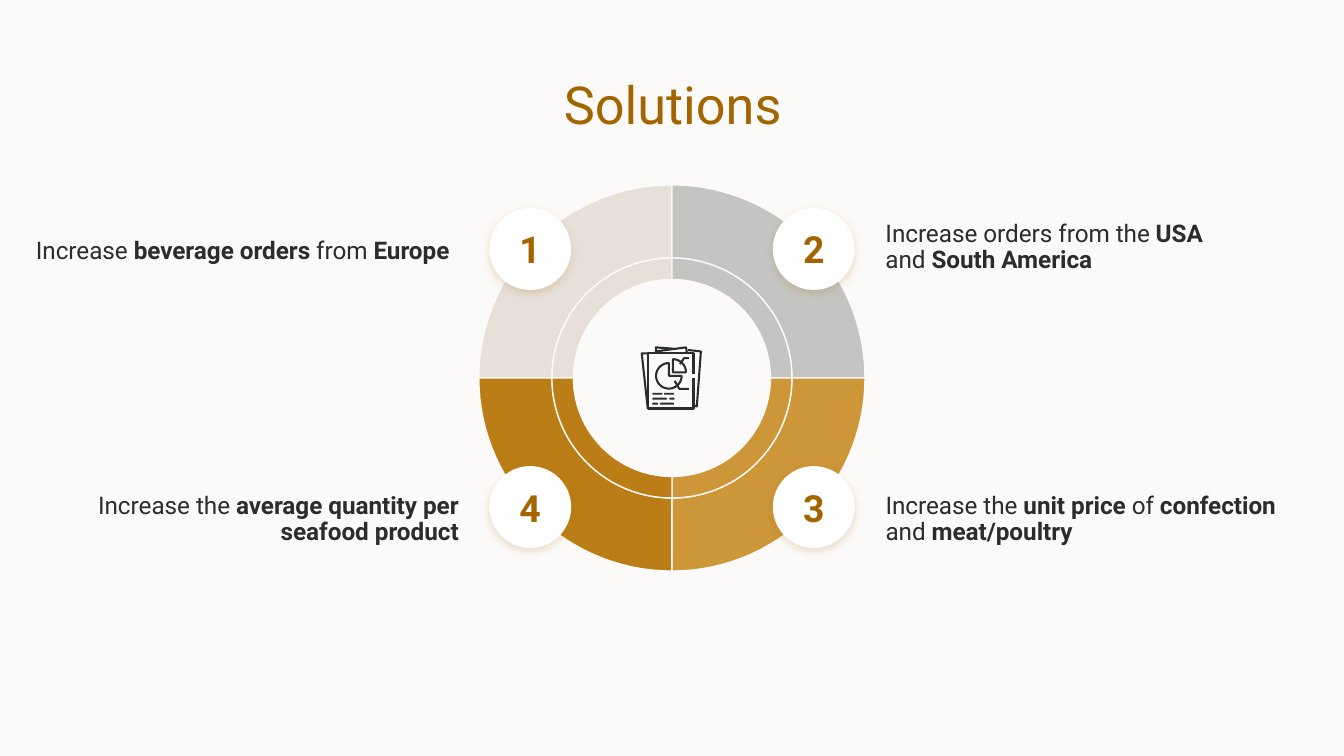
from math import cos, radians, sin

from lxml.etree import SubElement
from pptx import Presentation
from pptx.dml.color import RGBColor
from pptx.enum.shapes import MSO_SHAPE
from pptx.enum.text import MSO_ANCHOR, PP_ALIGN
from pptx.oxml.ns import qn
from pptx.util import Inches, Pt

COLORS = {name: RGBColor.from_string(value) for name, value in {
    "background": "FCFAF8", "accent": "A36500", "ink": "2C2C2C", "white": "FFFFFF",
    "beige": "E7E0D9", "gray": "C4C5C2", "gold": "CC9639", "ochre": "BB7D16",
}.items()}

presentation = Presentation()
presentation.slide_width = Inches(10)
presentation.slide_height = presentation.slide_width * 9 // 16
slide = presentation.slides.add_slide(presentation.slide_layouts[6])
slide.background.fill.solid()
slide.background.fill.fore_color.rgb = COLORS["background"]

# Grid of square cells, 100 columns across the slide; the wheel sits in its middle.
CELL = presentation.slide_width / 100
CENTER_X, CENTER_Y = 50, 28.13


def cells(*counts):
    return [round(count * CELL) for count in counts]


def arc(x, y, radius, start, end):
    """Points on a circle, clockwise in degrees from three o'clock."""
    step = 3 if end > start else -3
    return [(x + radius * cos(radians(angle)), y + radius * sin(radians(angle)))
            for angle in range(start, end + step, step)]


# Wheel: two rings of four quadrants, clockwise from the top left
QUADRANTS = ["beige", "gray", "gold", "ochre"]
outlines = []
for outer, inner in [(14.37, 8.93), (8.93, 7.33)]:
    for index, color in enumerate(QUADRANTS):
        start = 180 + 90 * index
        points = (arc(CENTER_X, CENTER_Y, outer, start, start + 90)
                  + arc(CENTER_X, CENTER_Y, inner, start + 90, start))
        outlines.append(([points], color, "background", 0.75))

# Report icon: sheets of paper, pie slice, pie with its callout
sheets = [
    [(51.6, 27.85), (51.6, 26.3), (48.25, 26.3), (48.25, 30.4), (51.6, 30.4), (51.6, 28.15)],
    [(48.25, 26.3), (47.75, 26.3), (48.2, 30.4)],
    [(51.2, 26.05), (52.15, 26.15), (51.85, 30.25), (51.7, 30.2)],
    [(50.1, 25.95), (48.8, 25.85), (48.8, 26.15), (51.05, 25.85), (51.1, 26.2)],
]
pie_slice = [
    [(50.07, 27.7), *arc(50.07, 27.7, 0.97, 270, 360), (50.07, 27.7)],
    [(50.6, 27.1), (50.9, 26.65), (51.25, 26.65)],
]
pie = [
    [(49.77, 27.97), *arc(49.77, 27.97, 0.95, 0, 270), (49.77, 27.97)],
    [(50.2, 28.35), (50.55, 28.95), (51.25, 28.95)],
]
outlines += [(contours, None, "ink", 1.1) for contours in (sheets, pie_slice, pie)]

for contours, fill, line, weight in outlines:
    builder = slide.shapes.build_freeform(*cells(*contours[0][0]))
    for number, contour in enumerate(contours):
        if number:
            builder.move_to(*cells(*contour[0]))
        builder.add_line_segments([cells(*point) for point in contour[1:]], close=bool(fill))
    shape = builder.convert_to_shape()
    shape.shadow.inherit = False
    if fill:
        shape.fill.solid()
        shape.fill.fore_color.rgb = COLORS[fill]
    else:
        shape.fill.background()
    shape.line.color.rgb = COLORS[line]
    shape.line.width = Pt(weight)

# Lines of writing on the report: left and width, row by row
WRITING = [[(48.53, 0.75), (49.4, 0.75)], [(48.53, 1.1), (49.8, 0.4)],
           [(48.53, 0.45), (49.1, 1.05)]]
for row, dashes in enumerate(WRITING):
    for left, width in dashes:
        dash = slide.shapes.add_shape(MSO_SHAPE.ROUNDED_RECTANGLE,
                                      *cells(left, 29.23 + 0.37 * row, width, 0.14))
        dash.adjustments[0] = 0.5
        dash.shadow.inherit = False
        dash.fill.solid()
        dash.fill.fore_color.rgb = COLORS["ink"]
        dash.line.fill.background()


def write(shape, pieces, size, color, alignment, spacing=0.9):
    """Fill a shape with one paragraph of (text, bold) pieces."""
    frame = shape.text_frame
    margins = dict.fromkeys(["margin_left", "margin_top", "margin_right", "margin_bottom"],
                            Inches(0.1))
    for name, value in {"word_wrap": True, **margins}.items():
        setattr(frame, name, value)
    paragraph = frame.paragraphs[0]
    paragraph.alignment = alignment
    paragraph.line_spacing = spacing
    for text, bold in pieces:
        run = paragraph.add_run()
        run.text = text
        for name, value in {"name": "Roboto", "size": Pt(size), "bold": bold}.items():
            setattr(run.font, name, value)
        run.font.color.rgb = COLORS[color]


# Numbered badges over the quadrants
BADGE = 6.1
for number, side, level in [("1", -1, -1), ("4", -1, 1), ("2", 1, -1), ("3", 1, 1)]:
    badge = slide.shapes.add_shape(MSO_SHAPE.OVAL, *cells(
        CENTER_X + side * 10.55 - BADGE / 2, CENTER_Y + level * 9.6 - BADGE / 2, BADGE, BADGE))
    badge.fill.solid()
    badge.fill.fore_color.rgb = COLORS["white"]
    badge.line.fill.background()
    badge.shadow.inherit = False
    shadow = SubElement(badge._element.spPr.find(qn("a:effectLst")), qn("a:outerShdw"),
                        blurRad=str(Pt(4.5)), dist=str(Pt(1.5)), dir="5400000",
                        algn="bl", rotWithShape="0")
    tint = SubElement(shadow, qn("a:srgbClr"), val=str(COLORS["accent"]))
    SubElement(tint, qn("a:alpha"), val="20000")
    badge.text_frame.vertical_anchor = MSO_ANCHOR.MIDDLE
    write(badge, [(number, True)], 20, "accent", PP_ALIGN.CENTER, 1.0)

# Solutions beside the badges, then the title
TEXTS = [
    ((1.1, 16.8, 33.9, 3.9), 13, "ink", PP_ALIGN.CENTER,
     [("Increase ", False), ("beverage orders ", True), ("from ", False), ("Europe", True)]),
    ((64.9, 15.5, 28.7, 6.4), 13, "ink", PP_ALIGN.LEFT,
     [("Increase orders from the ", False), ("USA", True), (" and ", False),
      ("South America", True)]),
    ((64.9, 35.7, 31.1, 5.2), 13, "ink", PP_ALIGN.LEFT,
     [("Increase the ", False), ("unit price ", True), ("of ", False),
      ("confection ", True), ("and ", False), ("meat/poultry", True)]),
    ((3.6, 35.7, 31.5, 6.3), 13, "ink", PP_ALIGN.RIGHT,
     [("Increase the ", False), ("average quantity per seafood product", True)]),
    ((7.9, 4.9, 84.3, 6.3), 28, "accent", PP_ALIGN.CENTER, [("Solutions", False)]),
]
for box, size, color, alignment, pieces in TEXTS:
    write(slide.shapes.add_textbox(*cells(*box)), pieces, size, color, alignment)

presentation.save("out.pptx")
